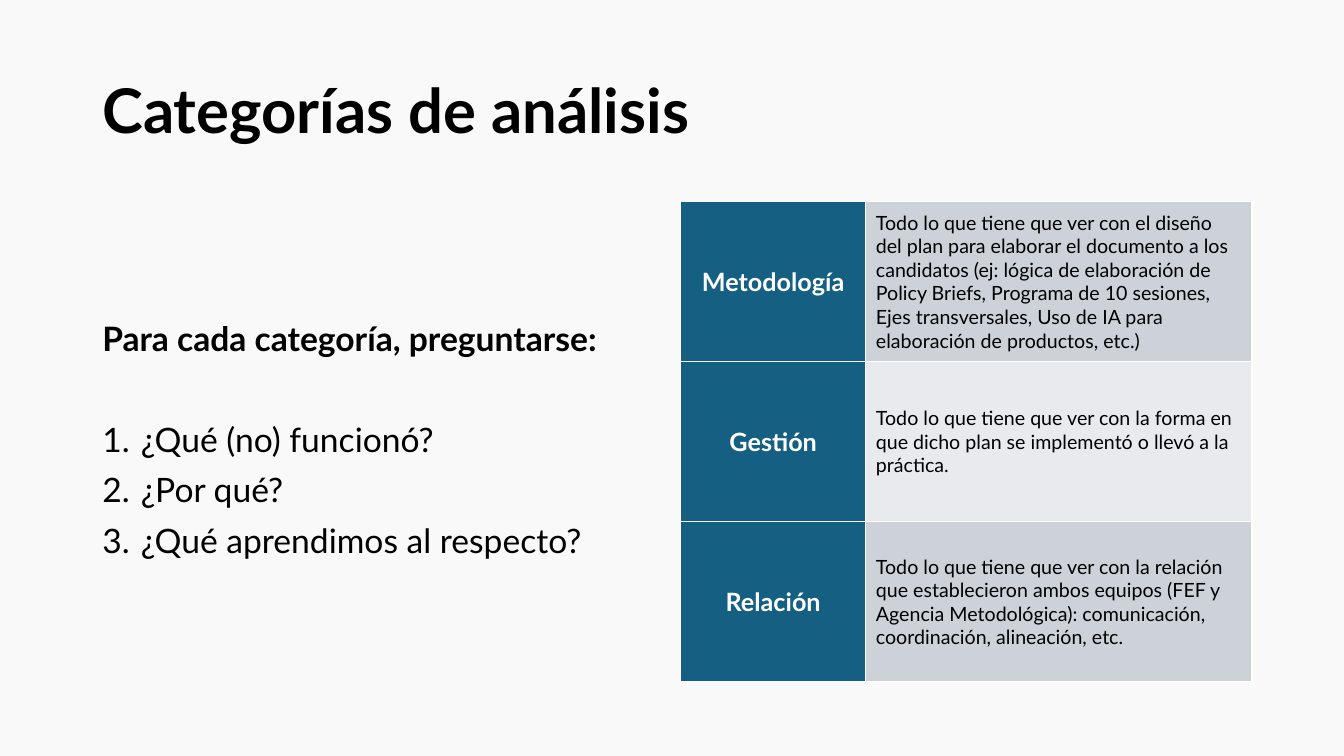
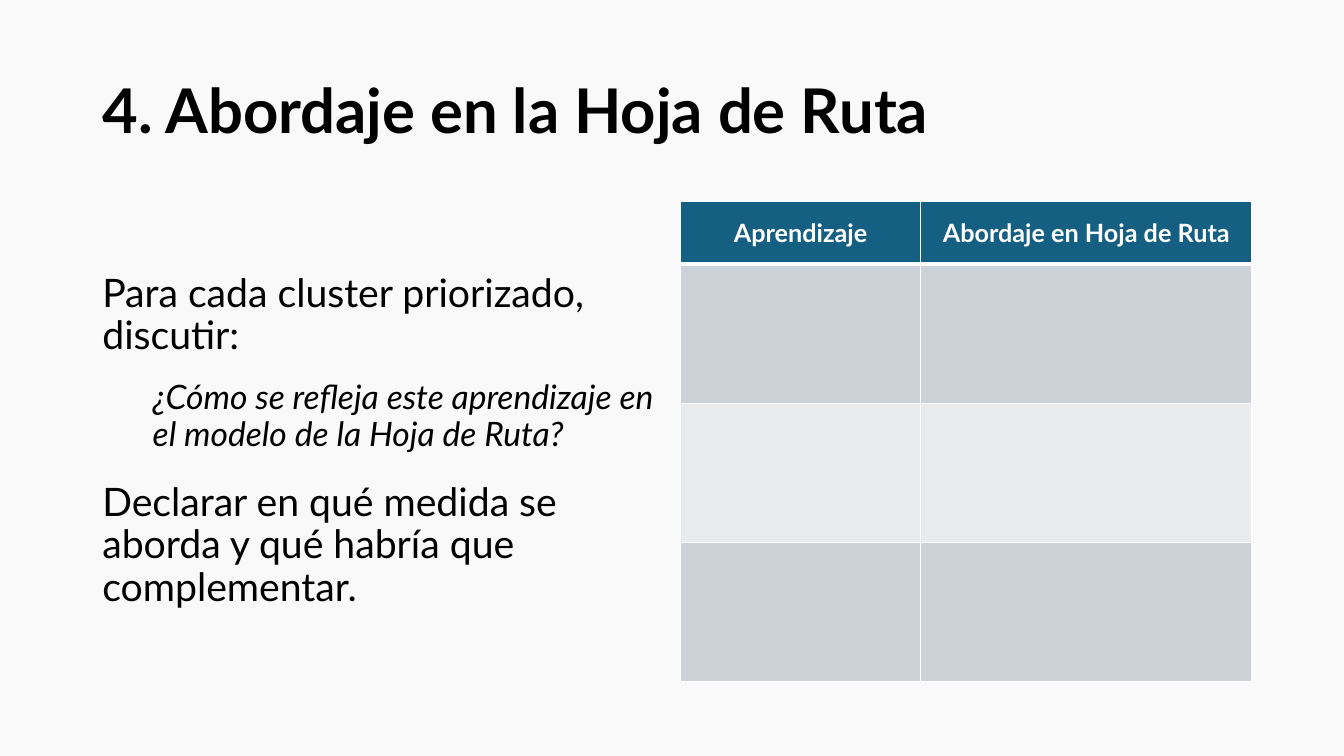
from dataclasses import dataclass

from lxml import etree
from pptx import Presentation
from pptx.dml.color import RGBColor
from pptx.enum.text import MSO_ANCHOR, PP_ALIGN
from pptx.oxml.ns import qn
from pptx.util import Cm, Pt

MIDDLE = MSO_ANCHOR.MIDDLE
LEFT, CENTER = PP_ALIGN.LEFT, PP_ALIGN.CENTER


@dataclass(frozen=True)
class Theme:
    font: str = "Lato"
    page: str = "F9F9F9"
    text: str = "000000"
    white: str = "FFFFFF"
    accent: str = "156082"
    bands: tuple = ("CCD2D8", "E8EAED")
    title_size: int = 44
    large_size: int = 28
    body_size: int = 24
    label_size: int = 18
    cell_size: int = 14
    line_spacing: float = 0.9
    border: int = 1
    header_border: int = 3


THEME = Theme()

SLIDE_WIDTH, SLIDE_HEIGHT = 33.87, 19.05
TITLE_AREA = (2.33, 1.01, 25.6, 3.68)
BODY_AREA = (2.33, 5.08, 14.4, 12.1)
TABLE_AREA = (17.15, 5.08, 14.4, 12.1)
NUMBER_INDENT = 0.97

SLIDES = [
    {
        "title": "Categorías de análisis",
        "body": [
            {"text": "Para cada categoría, preguntarse:", "bold": True},
            {"text": "¿Qué (no) funcionó?", "before": 46, "numbered": True},
            {"text": "¿Por qué?", "before": 10, "numbered": True},
            {"text": "¿Qué aprendimos al respecto?", "before": 10, "numbered": True},
        ],
        "header_row": False,
        "first_column": 4.67,
        "rows": [
            ("Metodología",
             "Todo lo que tiene que ver con el diseño del plan para elaborar el "
             "documento a los candidatos (ej: lógica de elaboración de Policy Briefs, "
             "Programa de 10 sesiones, Ejes transversales, Uso de IA para elaboración "
             "de productos, etc.)"),
            ("Gestión",
             "Todo lo que tiene que ver con la forma en que dicho plan se implementó "
             "o llevó a la práctica."),
            ("Relación",
             "Todo lo que tiene que ver con la relación que establecieron ambos equipos "
             "(FEF y Agencia Metodológica): comunicación, coordinación, alineación, etc."),
        ],
    },
    {
        "title": "4. Abordaje en la Hoja de Ruta",
        "body": [
            {"text": "Para cada cluster priorizado, discutir:", "size": THEME.large_size},
            {"text": "¿Cómo se refleja este aprendizaje en el modelo de la Hoja de Ruta?",
             "before": 16, "italic": True, "indent": 1.27},
            {"text": "Declarar en qué medida se aborda y qué habría que complementar.",
             "size": THEME.large_size, "before": 21},
        ],
        "header_row": True,
        "header_height": 1.57,
        "first_column": 6.05,
        "rows": [("Aprendizaje", "Abordaje en Hoja de Ruta")] + [("", "")] * 3,
    },
]


def style_font(font, size, color=THEME.text, bold=False, italic=False):
    font.name = THEME.font
    font.size = Pt(size)
    font.bold = bold
    font.italic = italic
    font.color.rgb = RGBColor.from_string(color)


def indent_paragraph(para, indent, numbered):
    properties = para._p.get_or_add_pPr()
    properties.set("marL", str(Cm(indent)))
    properties.set("indent", str(-Cm(indent) if numbered else 0))
    if numbered:
        etree.SubElement(properties, qn("a:buFont"), typeface="+mj-lt")
        etree.SubElement(properties, qn("a:buAutoNum"), type="arabicPeriod")


def add_text(page, area, items):
    box = page.shapes.add_textbox(*map(Cm, area))
    frame = box.text_frame
    frame.word_wrap = True
    frame.vertical_anchor = MIDDLE
    for index, item in enumerate(items):
        para = frame.add_paragraph() if index else frame.paragraphs[0]
        para.text = item["text"]
        numbered = item.get("numbered", False)
        indent_paragraph(para, item.get("indent", NUMBER_INDENT if numbered else 0), numbered)
        para.line_spacing = THEME.line_spacing
        para.space_before = Pt(item.get("before", 0))
        for span in para.runs:
            style_font(span.font, item.get("size", THEME.body_size),
                       bold=item.get("bold", False), italic=item.get("italic", False))


def set_borders(cell, bottom_width):
    properties = cell._tc.get_or_add_tcPr()
    for side in ("L", "R", "T", "B"):
        width = bottom_width if side == "B" else THEME.border
        line = etree.SubElement(properties, qn(f"a:ln{side}"), w=str(Pt(width)))
        fill = etree.SubElement(line, qn("a:solidFill"))
        etree.SubElement(fill, qn("a:srgbClr"), val=THEME.white)


def style_cell(cell, text, color, is_label, is_header):
    set_borders(cell, THEME.header_border if is_header else THEME.border)
    cell.fill.solid()
    cell.fill.fore_color.rgb = RGBColor.from_string(color)
    cell.vertical_anchor = MIDDLE
    if not text:
        return
    cell.text_frame.text = text
    para = cell.text_frame.paragraphs[0]
    para.alignment = CENTER if is_label else LEFT
    for span in para.runs:
        if is_label:
            style_font(span.font, THEME.label_size, THEME.white, bold=True)
        else:
            style_font(span.font, THEME.cell_size)


def add_grid(page, content):
    rows, header_row = content["rows"], content["header_row"]
    _, _, width, height = TABLE_AREA
    table = page.shapes.add_table(len(rows), 2, *map(Cm, TABLE_AREA)).table
    table.first_row = table.horz_banding = False
    table.columns[0].width = Cm(content["first_column"])
    table.columns[1].width = Cm(width - content["first_column"])
    header_height = content.get("header_height", 0)
    row_height = (height - header_height) / (len(rows) - header_row)
    for row_index, row in enumerate(rows):
        is_header = header_row and row_index == 0
        table.rows[row_index].height = Cm(header_height if is_header else row_height)
        band = THEME.bands[(row_index - header_row) % 2]
        for column_index, text in enumerate(row):
            is_label = is_header or (not header_row and column_index == 0)
            style_cell(table.cell(row_index, column_index), text,
                       THEME.accent if is_label else band, is_label, is_header)


def build_slide(deck, content):
    page = deck.slides.add_slide(deck.slide_layouts[6])
    page.background.fill.solid()
    page.background.fill.fore_color.rgb = RGBColor.from_string(THEME.page)
    add_text(page, BODY_AREA, content["body"])
    add_grid(page, content)
    title = {"text": content["title"], "size": THEME.title_size, "bold": True}
    add_text(page, TITLE_AREA, [title])


def main():
    deck = Presentation()
    deck.slide_width, deck.slide_height = Cm(SLIDE_WIDTH), Cm(SLIDE_HEIGHT)
    for content in SLIDES:
        build_slide(deck, content)
    deck.save("out.pptx")


if __name__ == "__main__":
    main()
